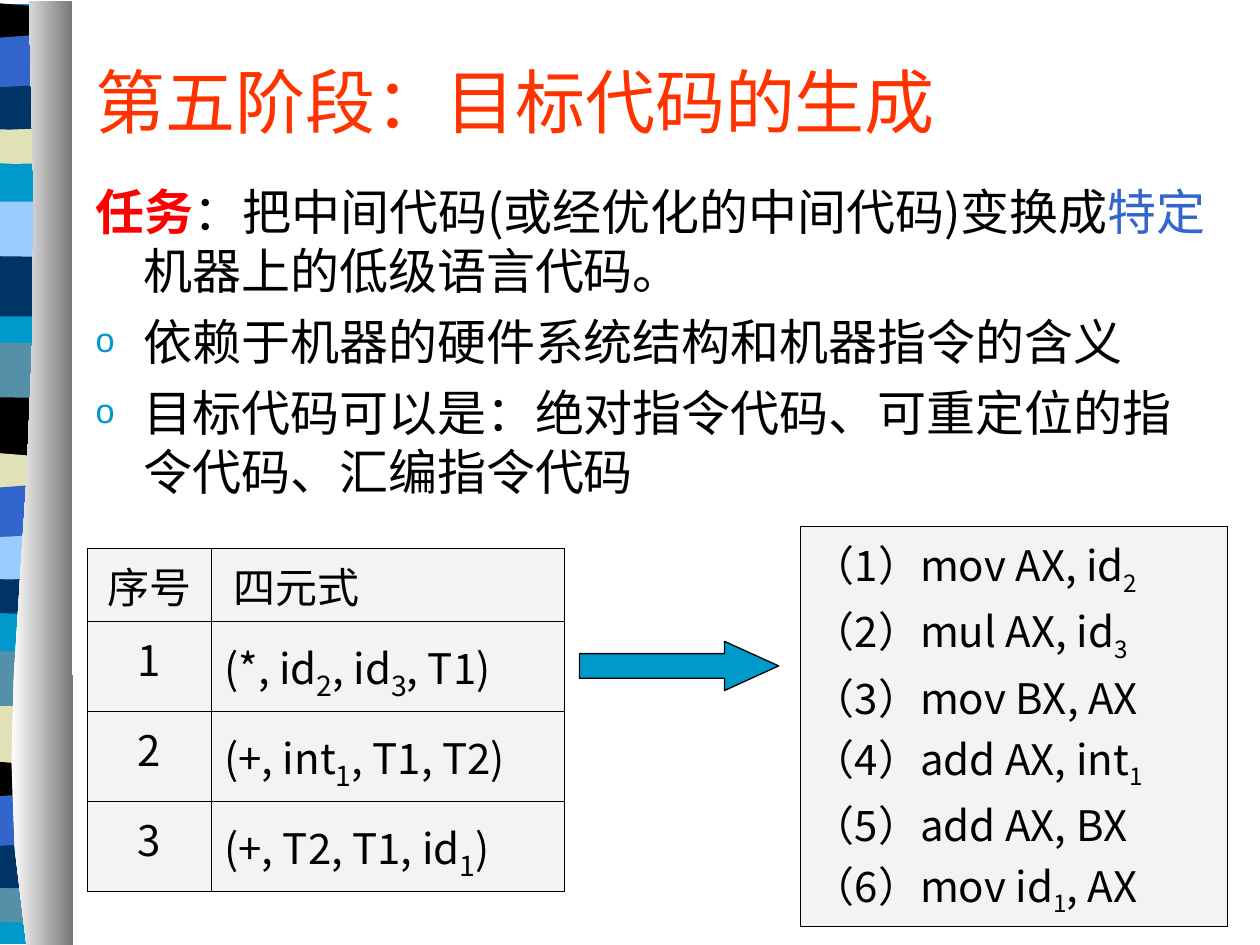
from lxml import etree
from pptx import Presentation
from pptx.dml.color import RGBColor
from pptx.enum.shapes import MSO_SHAPE as SHAPE
from pptx.enum.text import MSO_ANCHOR as ANCHOR, MSO_AUTO_SIZE as AUTOSIZE, PP_ALIGN as ALIGN
from pptx.oxml.ns import qn
from pptx.util import Inches, Pt

FONT = "Noto Sans CJK SC"
BLACK, NAVY, BLUE, CYAN = "000000", "003366", "3366CC", "0099CC"
SKY, TEAL, CREAM, PALE = "99CCFF", "5490A8", "E1E1B7", "F3F3F3"


def rgb(value):
    return RGBColor.from_string(value)


def outline(*steps, parts=2):
    """Turn points (2 numbers) and Bezier curves (6 numbers) into a polyline."""
    points = []
    for step in steps:
        if len(step) == 2:
            points.append(step)
            continue
        (x0, y0), (x1, y1, x2, y2, x3, y3) = points[-1], step
        for i in range(1, parts + 1):
            t = i / parts
            a, b, c, d = (1 - t) ** 3, 3 * t * (1 - t) ** 2, 3 * t * t * (1 - t), t ** 3
            points.append((a * x0 + b * x1 + c * x2 + d * x3,
                           a * y0 + b * y1 + c * y2 + d * y3))
    return points


class Deck:
    """Holds the style and the current slide."""

    def __init__(self, width, height):
        self.prs = Presentation()
        self.prs.slide_width, self.prs.slide_height = Inches(width), Inches(height)
        self.layout = self.prs.slide_layouts[1]
        self.s = self.prs.slides.add_slide(self.layout)

    def run(self, p, text, size, color=BLACK, bold=False, sub=False):
        r = p.add_run()
        r.text = text
        f = r.font
        f.name, f.size, f.bold = FONT, Pt(size), bold
        f.color.rgb = rgb(color)
        props = r._r.get_or_add_rPr()
        etree.SubElement(props, qn("a:ea")).set("typeface", FONT)
        if sub:
            props.set("baseline", "-25000")

    def code(self, p, text, size, sub_size):
        """Write text where each underscore makes the next character a subscript."""
        first, *rest = text.split("_")
        self.run(p, first, size)
        for part in rest:
            self.run(p, part[0], sub_size, sub=True)
            if part[1:]:
                self.run(p, part[1:], size)

    def place(self, sp, left, top, width, height, anchor):
        sp.left, sp.top = Inches(left), Inches(top)
        sp.width, sp.height = Inches(width), Inches(height)
        tf = sp.text_frame
        tf.auto_size, tf.vertical_anchor = AUTOSIZE.NONE, anchor
        return tf

    def title(self, text, box, color):
        p = self.place(self.s.shapes.title, *box, ANCHOR.MIDDLE).paragraphs[0]
        p.alignment = ALIGN.LEFT
        self.run(p, text, 40, color)

    def body(self, items, box):
        tf = self.place(self.s.placeholders[1], *box, ANCHOR.TOP)
        for i, (bulleted, runs) in enumerate(items):
            p = tf.add_paragraph() if i else tf.paragraphs[0]
            p.alignment, p.space_before = ALIGN.LEFT, Pt(7)
            props = p._p.get_or_add_pPr()
            props.set("marL", str(Inches(0.38)))
            props.set("indent", str(-Inches(0.38)))
            if bulleted:
                tint = etree.SubElement(props, qn("a:buClr"))
                etree.SubElement(tint, qn("a:srgbClr")).set("val", CYAN)
                etree.SubElement(props, qn("a:buSzPct")).set("val", "70000")
                etree.SubElement(props, qn("a:buChar")).set("char", "o")
            else:
                etree.SubElement(props, qn("a:buNone"))
            for text, color, bold in runs:
                self.run(p, text, 28, color, bold)

    def freeform(self, points, color=None):
        """Draw a background outline, which belongs to the layout."""
        pts = [(Inches(x), Inches(y)) for x, y in points]
        builder = self.s.shapes.build_freeform(*pts[0])
        builder.add_line_segments(pts[1:], close=True)
        sp = builder.convert_to_shape()
        sp.shadow.inherit = False
        sp.line.fill.background()
        if color:
            sp.fill.solid()
            sp.fill.fore_color.rgb = rgb(color)
        self.layout.shapes.element.append(sp.element)
        return sp

    def gradient(self, points, start, end):
        fill = self.freeform(points).fill
        fill.gradient()
        fill.gradient_angle = 0
        for stop, color, position in zip(fill.gradient_stops, (start, end), (0, 1)):
            stop.color.rgb, stop.position = rgb(color), position

    def table(self, left, top, cols, heights, cells, sub_size, centered=()):
        frame = self.s.shapes.add_table(len(heights), len(cols), Inches(left), Inches(top),
                                        Inches(sum(cols)), Inches(sum(heights)))
        tbl = frame.table
        tbl.first_row = tbl.horz_banding = False
        for col, width in zip(tbl.columns, cols):
            col.width = Inches(width)
        for row, height, texts in zip(tbl.rows, heights, cells):
            row.height = Inches(height)
            for j, (cell, lines) in enumerate(zip(row.cells, texts)):
                cell.fill.solid()
                cell.fill.fore_color.rgb = rgb(PALE)
                self.borders(cell)
                tf = cell.text_frame
                for k, line in enumerate(lines.split("\n")):
                    p = tf.add_paragraph() if k else tf.paragraphs[0]
                    p.alignment = ALIGN.CENTER if j in centered else ALIGN.LEFT
                    self.code(p, line, 24, sub_size)

    def borders(self, cell):
        props = cell._tc.get_or_add_tcPr()
        for i, side in enumerate("LRTB"):
            ln = etree.Element(qn("a:ln" + side), w=str(Pt(0.45)))
            fill = etree.SubElement(ln, qn("a:solidFill"))
            etree.SubElement(fill, qn("a:srgbClr")).set("val", BLACK)
            props.insert(i, ln)

    def arrow(self, left, top, width, height, color):
        sp = self.s.shapes.add_shape(SHAPE.RIGHT_ARROW, Inches(left), Inches(top),
                                     Inches(width), Inches(height))
        sp.adjustments[0], sp.adjustments[1] = 0.5, 1.1
        sp.shadow.inherit = False
        sp.fill.solid()
        sp.fill.fore_color.rgb = rgb(color)
        sp.line.color.rgb, sp.line.width = rgb(BLACK), Pt(0.75)


# Band outlines of one stripe set, measured from the set's top left corner
BANDS = [
    outline((0, 0.55), (0, 0.08), (0.76, 0.16, 0.91, 0, 1.1, 0.08), (1.1, 0.55)),
    outline((0, 0.99), (0, 0.52), (0.18, 0.44, 0.76, 0.58, 1.1, 0.52), (1.1, 0.99)),
    outline((0, 2.19), (0, 1.94), (0.18, 1.9, 0.91, 1.9, 1.1, 1.94), (1.1, 2.19),
            (1.03, 2.24, 0.86, 2.23, 0.67, 2.23), (0.49, 2.23, 0.14, 2.2, 0, 2.19)),
    outline((0, 1.32), (0, 1), (0.18, 0.94, 0.91, 0.94, 1.1, 1), (1.1, 1.32),
            (0.42, 1.27, 0.23, 1.32, 0, 1.32)),
    outline((0, 1.66), (0, 1.19), (0.17, 1.24, 0.24, 1.24, 0.42, 1.24),
            (0.6, 1.24, 0.93, 1.19, 1.1, 1.19), (1.1, 1.66)),
    outline((0, 1.94), (0, 1.63), (0.07, 1.58, 0.24, 1.63, 0.42, 1.63),
            (0.6, 1.63, 0.98, 1.58, 1.1, 1.63), (1.1, 1.94),
            (0.94, 1.99, 0.35, 1.94, 0.17, 1.94)),
]
# Top of each stripe set and its band colours; None leaves a band out
STRIPES = [
    (5.09, [TEAL, CREAM, TEAL, BLACK, BLUE, NAVY]),
    (2.64, [TEAL, BLACK, NAVY, CREAM, BLUE, SKY]),
    (1.52, [SKY, NAVY]),
    (-0.93, [None, None, CREAM, BLACK, BLUE, NAVY]),
]


def main():
    deck = Deck(10, 7.5)

    # Striped border with its metallic edge
    x0 = -0.57
    deck.freeform([(x0, 0.03), (0.53, 0.03), (0.53, 7.49), (x0, 7.49)], CYAN)
    for top, colors in STRIPES:
        for band, color in zip(BANDS, colors):
            if color:
                deck.freeform([(x0 + x, top + y) for x, y in band], color)
    deck.gradient(outline((0.21, 7.5), (-0.14, 5.33, 0.41, 4.54, 0.23, 0.01),
                          (0.57, 0.01), (0.58, 7.5), parts=8), "FFFFFF", "767676")

    # Title and task description
    deck.title("第五阶段：目标代码的生成", (0.66, 0.17, 9.12, 1.25), "FF3300")
    deck.body([
        (False, [("任务", "FF0000", True),
                 ("：把中间代码(或经优化的中间代码)变换成", BLACK, False),
                 ("特定", BLUE, False), ("机器上的低级语言代码。", BLACK, False)]),
        (True, [("依赖于机器的硬件系统结构和机器指令的含义", BLACK, False)]),
        (True, [("目标代码可以是：绝对指令代码、可重定位的指令代码、汇编指令代码", BLACK, False)]),
    ], (0.66, 1.39, 9.12, 5))

    # Quadruples become target code
    deck.table(0.69, 4.35, [0.99, 2.8], [0.5] + [0.63] * 3, [
        ("序号", " 四元式"),
        ("1", "(*, id_2, id_3, T1)"),
        ("2", "(+, int_1, T1, T2)"),
        ("3", "(+, T2, T1, id_1)"),
    ], sub_size=28, centered=(0,))
    code = ["mov AX, id_2", "mul AX, id_3", "mov BX, AX",
            "add AX, int_1", "add AX, BX", "mov id_1, AX"]
    listing = "\n".join(f"（{i}）{line}" for i, line in enumerate(code, 1))
    deck.table(6.35, 4.18, [3.39], [2.72], [(listing,)], sub_size=24)
    deck.arrow(4.6, 5.09, 1.58, 0.39, CYAN)

    deck.prs.save("out.pptx")


if __name__ == "__main__":
    main()
